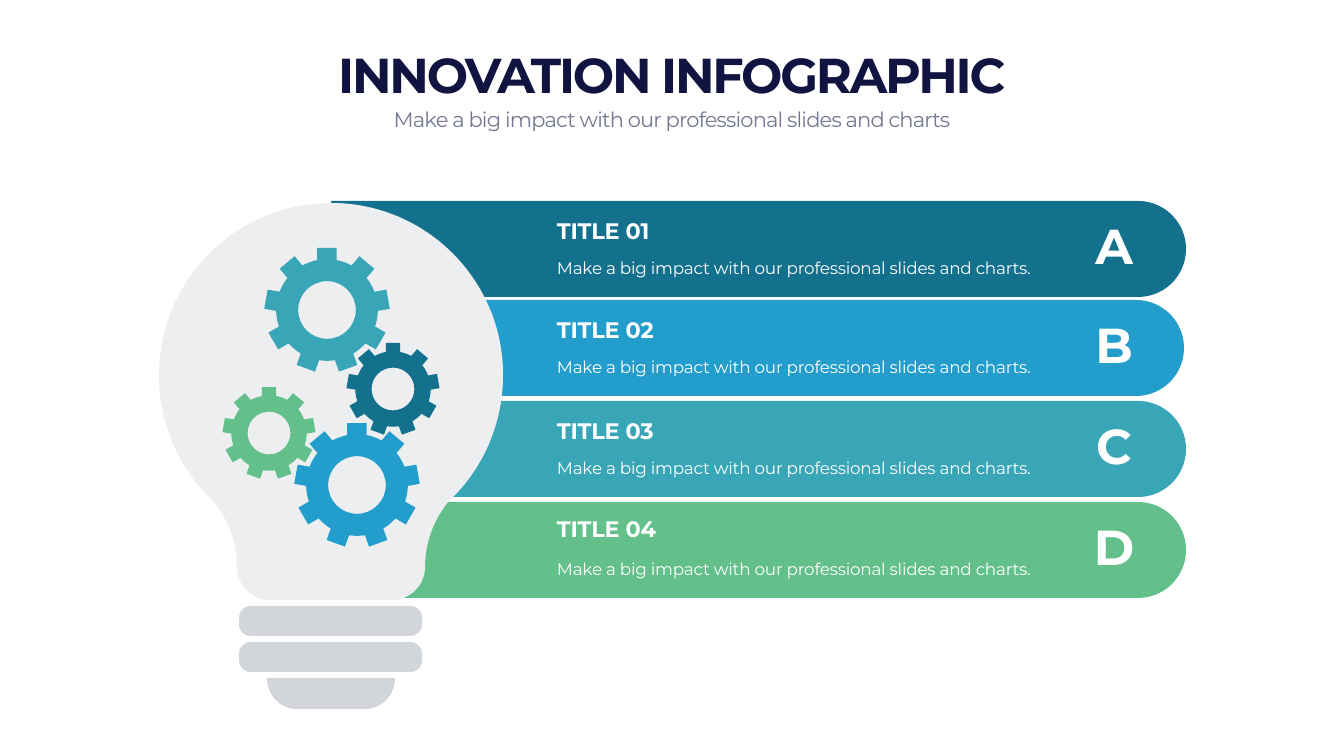
"""Build the innovation infographic slide: a bulb with gears and four lettered bars."""
from math import asin, cos, pi, sin, sqrt, tan

from lxml import etree
from pptx import Presentation
from pptx.dml.color import RGBColor
from pptx.enum.shapes import MSO_SHAPE
from pptx.enum.text import MSO_ANCHOR, MSO_AUTO_SIZE, PP_ALIGN
from pptx.oxml.ns import qn
from pptx.util import Pt

PIXEL = 914400 / 50.4
BAR_SHAPE = MSO_SHAPE.ROUND_2_SAME_RECTANGLE
RING_SHAPE = MSO_SHAPE.ROUNDED_RECTANGLE
TOP, BOTTOM = MSO_ANCHOR.TOP, MSO_ANCHOR.BOTTOM
LEFT, CENTER = PP_ALIGN.LEFT, PP_ALIGN.CENTER
FIT_SHAPE = MSO_AUTO_SIZE.SHAPE_TO_FIT_TEXT
FONT = "Montserrat"
COLORS = {
    "heading": "111340", "subtitle": "747993", "white": "FFFFFF", "gray": "C3C8CE",
    "navy": "14718E", "blue": "229DCC", "teal": "38A6B6", "green": "63C08A",
}
AXIS = 331
BULB_CURVES = [
    [(331, 203), (426, 203), (503, 280), (503, 375)],
    [(503, 375), (503, 421), (485, 464), (455, 495)],
    [(448, 502), (433, 521), (425, 543), (425, 567)],
    [(425, 567), (425, 585), (410, 600), (392, 600)],
]
FOOT_CURVES = [[(395, 678), (395, 695), (382, 709), (365, 709)]]
BARS = [
    ("A", "TITLE 01", "navy", 331, 201, 214),
    ("B", "TITLE 02", "blue", 329, 300, 313),
    ("C", "TITLE 03", "teal", 331, 401, 414),
    ("D", "TITLE 04", "green", 331, 502, 512),
]
GEARS = [
    (327, 310, 62, "teal"), (393, 389, 46, "navy"),
    (357, 485, 62, "blue"), (269, 433, 46, "green"),
]


def emu(pixels):
    """Turn pixels into EMU."""
    return round(pixels * PIXEL)


def paint(shape, color, opacity=100):
    """Give a shape a plain fill with no line or shadow."""
    shape.shadow.inherit = False
    shape.line.fill.background()
    shape.fill.solid()
    shape.fill.fore_color.rgb = RGBColor.from_string(COLORS[color])
    if opacity < 100:
        tint = shape._element.spPr.find(".//" + qn("a:srgbClr"))
        etree.SubElement(tint, qn("a:alpha")).set("val", str(opacity * 1000))


def add_text(page, text, left, top, width, height, *, size, color="white", bold=False,
             align=LEFT, anchor=TOP, spacing=-0.3, leading=None):
    """Add a one-paragraph text box."""
    box = page.shapes.add_textbox(emu(left), emu(top), emu(width), emu(height))
    frame = box.text_frame
    frame.word_wrap = True
    frame.auto_size = FIT_SHAPE
    frame.vertical_anchor = anchor
    para = frame.paragraphs[0]
    para.alignment = align
    if leading:
        para.line_spacing = Pt(leading)
    span = para.add_run()
    span.text = text
    span.font.name = FONT
    span.font.size = Pt(size)
    span.font.bold = bold
    span.font.color.rgb = RGBColor.from_string(COLORS[color])
    span._r.get_or_add_rPr().set("spc", str(round(spacing * 100)))


def add_outline(page, contours, color, opacity=100):
    """Add a freeform of closed contours, with one point per line and three per curve."""
    builder = page.shapes.build_freeform(*map(emu, contours[0][0][0]), scale=1.0)
    for index, contour in enumerate(contours):
        if index:
            builder.move_to(*map(emu, contour[0][0]))
        points = [(emu(x), emu(y)) for segment in contour[1:] for x, y in segment]
        builder.add_line_segments(points, close=True)
    shape = builder.convert_to_shape()
    lines = iter(list(shape._element.spPr.iter(qn("a:lnTo"))))
    for segment in (part for contour in contours for part in contour[1:]):
        first, *others = [next(lines) for _ in segment]
        for other in others:
            first.append(other[0])
            other.getparent().remove(other)
        if others:
            first.tag = qn("a:cubicBezTo")
    paint(shape, color, opacity)


def mirrored(curves):
    """Close a right-hand outline with its reflection in the bulb axis."""
    left = [[(2 * AXIS - x, y) for x, y in reversed(curve)] for curve in reversed(curves)]
    return [part for curve in curves + left for part in (curve[:1], curve[1:])]


def arc(x, y, radius, start, end):
    """Return the three points of a clockwise arc, with angles from the top."""
    handle = radius * 4 / 3 * tan((end - start) / 4)

    def point(angle, shift):
        """Place a point on the circle and slide it along the tangent."""
        return (x + radius * sin(angle) + shift * cos(angle),
                y - radius * cos(angle) + shift * sin(angle))

    return [point(start, handle), point(end, -handle), point(end, 0)]


def add_gear(page, x, y, outer, color, teeth=9):
    """Add a gear with a round hole."""
    body, half, hole = outer * 0.82, outer * 0.157, outer * 0.465
    root = sqrt(body ** 2 - half ** 2)
    pitch, edge = 2 * pi / teeth, asin(half / body)
    rim = []
    for tooth in range(teeth):
        angle = tooth * pitch
        for along, across in ((root, -half), (outer, -half), (outer, half), (root, half)):
            rim.append([(x + along * sin(angle) + across * cos(angle),
                         y - along * cos(angle) + across * sin(angle))])
        rim.append(arc(x, y, body, angle + edge, angle + pitch - edge))
    circle = [[(x, y - hole)]]
    circle += [arc(x, y, hole, -turn * pi / 2, -(turn + 1) * pi / 2) for turn in range(4)]
    add_outline(page, [rim, circle], color)


def add_bar(page, letter, title, color, left, top, title_top):
    """Add a bar with its title, description and letter."""
    length, height = 855, 96
    bar = page.shapes.add_shape(
        BAR_SHAPE, emu(left + (length - height) / 2), emu(top - (length - height) / 2),
        emu(height), emu(length))
    bar.rotation = 90
    bar.adjustments[0] = 0.5
    bar.adjustments[1] = 0
    paint(bar, color)
    add_text(page, letter, 1083, top + 12, 62, 64, size=70, bold=True,
             align=CENTER, anchor=BOTTOM)
    add_text(page, title, 552, title_top, 504, 32, size=32, bold=True, anchor=BOTTOM)
    add_text(page, "Make a big impact with our professional slides and charts.",
             552, top + 49, 504, 28, size=24, leading=36)


def add_bulb(page):
    """Add the bulb, its screw rings and its foot."""
    add_outline(page, [mirrored(FOOT_CURVES)], "gray", 75)
    for top in (642, 606):
        ring = page.shapes.add_shape(RING_SHAPE, emu(239), emu(top), emu(183), emu(30))
        ring.adjustments[0] = 0.39
        paint(ring, "gray", 75)
    for color, opacity in (("white", 100), ("gray", 30)):
        add_outline(page, [mirrored(BULB_CURVES)], color, opacity)


def main():
    """Build and save the deck."""
    deck = Presentation()
    deck.slide_width, deck.slide_height = emu(1344), emu(756)
    page = deck.slides.add_slide(deck.slide_layouts[6])
    add_text(page, "INNOVATION INFOGRAPHIC", 84, 41, 1176, 65, size=70, color="heading",
             bold=True, align=CENTER, anchor=BOTTOM, spacing=-3.1)
    add_text(page, "Make a big impact with our professional slides and charts",
             84, 104, 1176, 31, size=30, color="subtitle", align=CENTER, spacing=-1.2)
    for bar in BARS:
        add_bar(page, *bar)
    add_bulb(page)
    for gear in GEARS:
        add_gear(page, *gear)
    deck.save("out.pptx")


main()
